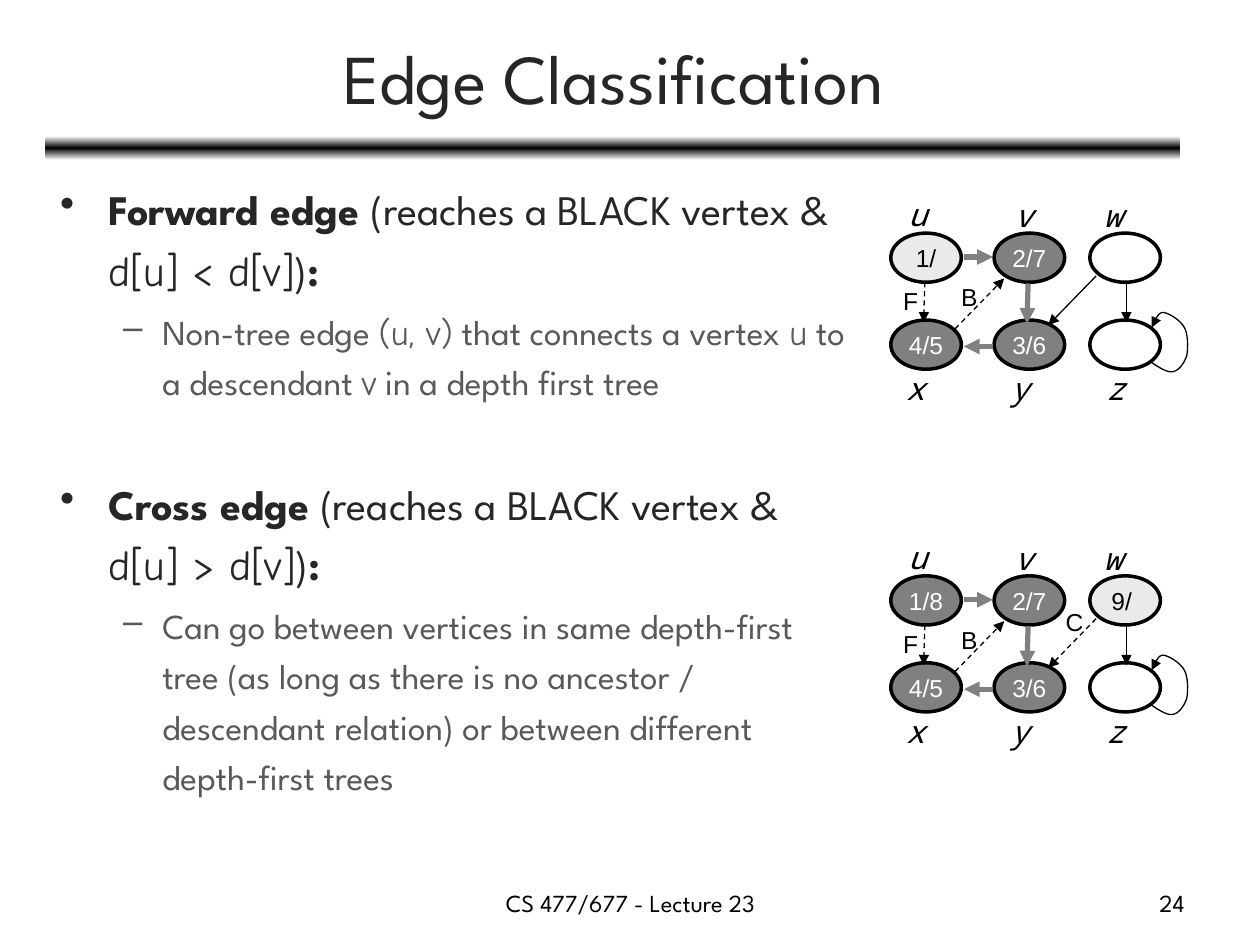
from copy import deepcopy

from lxml import etree
from pptx import Presentation
from pptx.dml.color import RGBColor
from pptx.enum.dml import MSO_LINE
from pptx.enum.shapes import MSO_CONNECTOR, MSO_SHAPE
from pptx.enum.text import MSO_ANCHOR, MSO_AUTO_SIZE, PP_ALIGN
from pptx.oxml.ns import qn
from pptx.util import Inches, Pt

LEFT, CENTER, RIGHT = PP_ALIGN.LEFT, PP_ALIGN.CENTER, PP_ALIGN.RIGHT
MIDDLE, TOP = MSO_ANCHOR.MIDDLE, MSO_ANCHOR.TOP
FIT, NO_FIT = MSO_AUTO_SIZE.SHAPE_TO_FIT_TEXT, MSO_AUTO_SIZE.NONE
OVAL, ROUNDED = MSO_SHAPE.OVAL, MSO_SHAPE.ROUNDED_RECTANGLE
STRAIGHT, DASH = MSO_CONNECTOR.STRAIGHT, MSO_LINE.DASH

SANS, MATH, MONO, LABEL = "League Spartan", "Comic Neue", "Noto Sans Mono", "Arial"
BLACK, WHITE, GRAY, PALE = "000000", "FFFFFF", "808080", "EAEAEA"
DARK, SOFT = "262626", "595959"

# Graph grid, relative to the top left corner of a graph
COLUMNS, ROWS = (0, 0.82, 1.58), (0.35, 1.04)
NODE_W, NODE_H = 0.56, 0.39
NAMES = (("u", 0.04, 0, 0.32), ("v", 0.88, 0.01, 0.31), ("w", 1.59, 0.01, 0.37),
         ("x", 0.02, 1.38, 0.31), ("y", 0.85, 1.38, 0.3), ("z", 1.61, 1.38, 0.31))
TREE_EDGES = ((1.09, 0.75, 1.08, 1.07), (0.58, 0.54, 0.81, 0.54), (0.81, 1.25, 0.58, 1.25))
DASHED_EDGES = ((0.27, 0.74, 0.26, 1.06), (0.51, 1.11, 0.9, 0.71))
PLAIN_EDGE, W_TO_Y = (1.87, 0.74, 1.87, 1.06), (1.63, 0.69, 1.25, 1.08)
LOOP = ((2.06, 1.37), (2.12, 1.41), (2.19, 1.46), (2.24, 1.45), (2.29, 1.44),
        (2.33, 1.38), (2.35, 1.32), (2.36, 1.26), (2.36, 1.15), (2.33, 1.1),
        (2.3, 1.04), (2.2, 0.98), (2.16, 0.98), (2.12, 0.98), (2.1, 1.04), (2.07, 1.1))


def rgb(color):
    """Turn a hex string into a colour."""
    return RGBColor.from_string(color)


def inches(*lengths):
    """Convert lengths in inches."""
    return [Inches(length) for length in lengths]


def add_run(paragraph, text, size, font, color, bold=False, italic=False):
    """Append one formatted run."""
    run = paragraph.add_run()
    run.text = text
    run.font.size, run.font.name = Pt(size), font
    run.font.bold, run.font.italic = bold, italic
    run.font.color.rgb = rgb(color)


def add_text(shapes, box, text, size, font, align=LEFT, wrap=True, italic=False):
    """Add a black one-line text box."""
    frame = shapes.add_textbox(*inches(*box)).text_frame
    frame.word_wrap, frame.auto_size = wrap, FIT
    frame.paragraphs[0].alignment = align
    add_run(frame.paragraphs[0], text, size, font, BLACK, italic=italic)


def style_line(line, color, width, dashed=False, arrow=True):
    """Set a line's colour, width, dash and end arrow."""
    line.color.rgb, line.width = rgb(color), Pt(width)
    if dashed:
        line.dash_style = DASH
    if arrow:
        etree.SubElement(line._get_or_add_ln(), qn("a:tailEnd"), type="triangle")


def add_edge(shapes, origin, ends, color=BLACK, width=0.75, dashed=False):
    """Draw a straight arrow between two points of a graph."""
    left, top = origin
    x1, y1, x2, y2 = ends
    edge = shapes.add_connector(STRAIGHT, *inches(left + x1, top + y1, left + x2, top + y2))
    style_line(edge.line, color, width, dashed)
    etree.SubElement(edge._element.spPr, qn("a:effectLst"))


def add_node(shapes, left, top, times, fill):
    """Draw a vertex with its discovery and finish times."""
    node = shapes.add_shape(OVAL, *inches(left, top, NODE_W, NODE_H))
    node.shadow.inherit = False
    style_line(node.line, BLACK, 2, arrow=False)
    if not fill:
        node.fill.background()
        return
    node.fill.solid()
    node.fill.fore_color.rgb = rgb(fill)
    frame = node.text_frame
    frame.word_wrap, frame.vertical_anchor = False, MIDDLE
    frame.paragraphs[0].alignment = CENTER
    add_run(frame.paragraphs[0], times, 14, LABEL, WHITE if fill == GRAY else BLACK)


def curve_points(controls, steps=10):
    """Sample a chain of cubic curves."""
    points = [controls[0]]
    for first in range(0, len(controls) - 1, 3):
        a, b, c, d = controls[first:first + 4]
        for step in range(1, steps + 1):
            t = step / steps
            s = 1 - t
            points.append(tuple(s**3 * p + 3 * s * s * t * q + 3 * s * t * t * r + t**3 * e
                                for p, q, r, e in zip(a, b, c, d)))
    return points


def add_loop(shapes, origin):
    """Draw the edge from z to itself."""
    points = [inches(origin[0] + x, origin[1] + y) for x, y in curve_points(LOOP)]
    builder = shapes.build_freeform(*points[0])
    builder.add_line_segments(points[1:], close=False)
    loop = builder.convert_to_shape()
    loop.shadow.inherit = False
    loop.fill.background()
    style_line(loop.line, BLACK, 0.75)


def add_graph(slide, left, top, nodes, edge_labels, cross=False):
    """Draw one depth-first search graph at the given corner."""
    shapes, origin = slide.shapes.add_group_shape().shapes, (left, top)
    cells = [(x, y) for y in ROWS for x in COLUMNS]
    for (x, y), (times, fill) in zip(cells, nodes):
        add_node(shapes, left + x, top + y, times, fill)
    for name, x, y, width in NAMES:
        add_text(shapes, (left + x, top + y, width, 0.4), name, 18, MONO,
                 wrap=False, italic=True)
    for ends in TREE_EDGES:
        add_edge(shapes, origin, ends, GRAY, 3)
    for ends in DASHED_EDGES:
        add_edge(shapes, origin, ends, dashed=True)
    add_edge(shapes, origin, PLAIN_EDGE)
    add_edge(shapes, origin, W_TO_Y, dashed=cross)
    add_loop(shapes, origin)
    for label, x, y in edge_labels:
        add_text(shapes, (left + x, top + y, 0.33, 0.33), label, 14, LABEL, wrap=False)


def add_heading(slide, box, text):
    """Place the title and the shaded rule below it."""
    left, top, width, height = box
    title = slide.shapes.title
    title.left, title.top, title.width, title.height = inches(*box)
    frame = title.text_frame
    frame.word_wrap, frame.auto_size, frame.vertical_anchor = True, NO_FIT, MIDDLE
    frame.paragraphs[0].alignment = CENTER
    add_run(frame.paragraphs[0], text, 40, SANS, DARK)
    rule = slide.shapes.add_shape(ROUNDED, *inches(left - 0.01, top + height - 0.02,
                                                   width + 0.01, 0.19))
    rule.shadow.inherit = False
    rule.line.fill.background()
    rule.fill.gradient()
    rule.fill.gradient_angle = 90
    stop_list = rule._element.spPr.find(qn("a:gradFill")).find(qn("a:gsLst"))
    stop_list.append(deepcopy(stop_list[0]))
    for stop, color, position in zip(rule.fill.gradient_stops, (WHITE, BLACK, WHITE), (0, 0.5, 1)):
        stop.color.rgb, stop.position = rgb(color), position


def add_definitions(slide, box, items):
    """Write the bulleted definitions; an item is (level, space before, runs)."""
    frame = slide.shapes.add_textbox(*inches(*box)).text_frame
    frame.word_wrap, frame.vertical_anchor = True, TOP
    styles = ((24, DARK, "\u2022", 0.38, -0.38), (20, SOFT, "\u2013", 0.81, -0.31))
    for index, (level, before, runs) in enumerate(items):
        paragraph = frame.add_paragraph() if index else frame.paragraphs[0]
        size, color, bullet, margin, indent = styles[level]
        paragraph.level, paragraph.alignment = level, LEFT
        paragraph.line_spacing, paragraph.space_before = 1.2, Pt(before)
        props = paragraph._p.get_or_add_pPr()
        props.set("marL", str(Inches(margin)))
        props.set("indent", str(Inches(indent)))
        etree.SubElement(props, qn("a:buChar"), char=bullet)
        for text, font, bold in runs:
            add_run(paragraph, text, size, font, color, bold)


def edge_term(name, condition):
    """Give the runs of a definition's first line."""
    return ((name + " ", SANS, True), ("(reaches a BLACK vertex & ", SANS, False),
            (condition, MATH, False), (")", SANS, False), (": ", SANS, True))


def build():
    """Build and save the slide."""
    deck = Presentation()
    deck.slide_width, deck.slide_height = inches(10, 7.5)
    slide = deck.slides.add_slide(deck.slide_layouts[5])
    add_heading(slide, (0.37, 0.11, 9, 0.99), "Edge Classification")
    forward = (("Non-tree edge ", SANS), ("(u, v)", MATH), (" that connects a vertex ", SANS),
               ("u", MATH), (" to a descendant ", SANS), ("v", MATH),
               (" in a depth first tree", SANS))
    cross = ("Can go between vertices in same depth-first tree (as long as there is no "
             "ancestor / descendant relation) or between different depth-first trees")
    add_definitions(slide, (0.38, 1.33, 6.46, 5.86), (
        (0, 4.8, edge_term("Forward edge", "d[u] < d[v]")),
        (1, 4, [(text, font, False) for text, font in forward]),
        (0, 37.5, edge_term("Cross edge", "d[u] > d[v]")),
        (1, 4, ((cross, SANS, False),))))
    finished, unseen = (("4/5", GRAY), ("3/6", GRAY)), ("", None)
    labels = (("B", 0.46, 0.69), ("F", 0, 0.72))
    add_graph(slide, 7.07, 1.5, (("1/", PALE), ("2/7", GRAY), unseen, *finished, unseen), labels)
    add_graph(slide, 7.07, 4.22, (("1/8", GRAY), ("2/7", GRAY), ("9/ ", PALE), *finished, unseen),
              (*labels, ("C", 1.29, 0.55)), cross=True)
    add_text(slide.shapes, (3.42, 7, 3.17, 0.35), "CS 477/677 - Lecture 23", 14, SANS, CENTER)
    add_text(slide.shapes, (7.17, 7, 2.33, 0.35), "24", 14, SANS, RIGHT)
    deck.save("out.pptx")


build()
